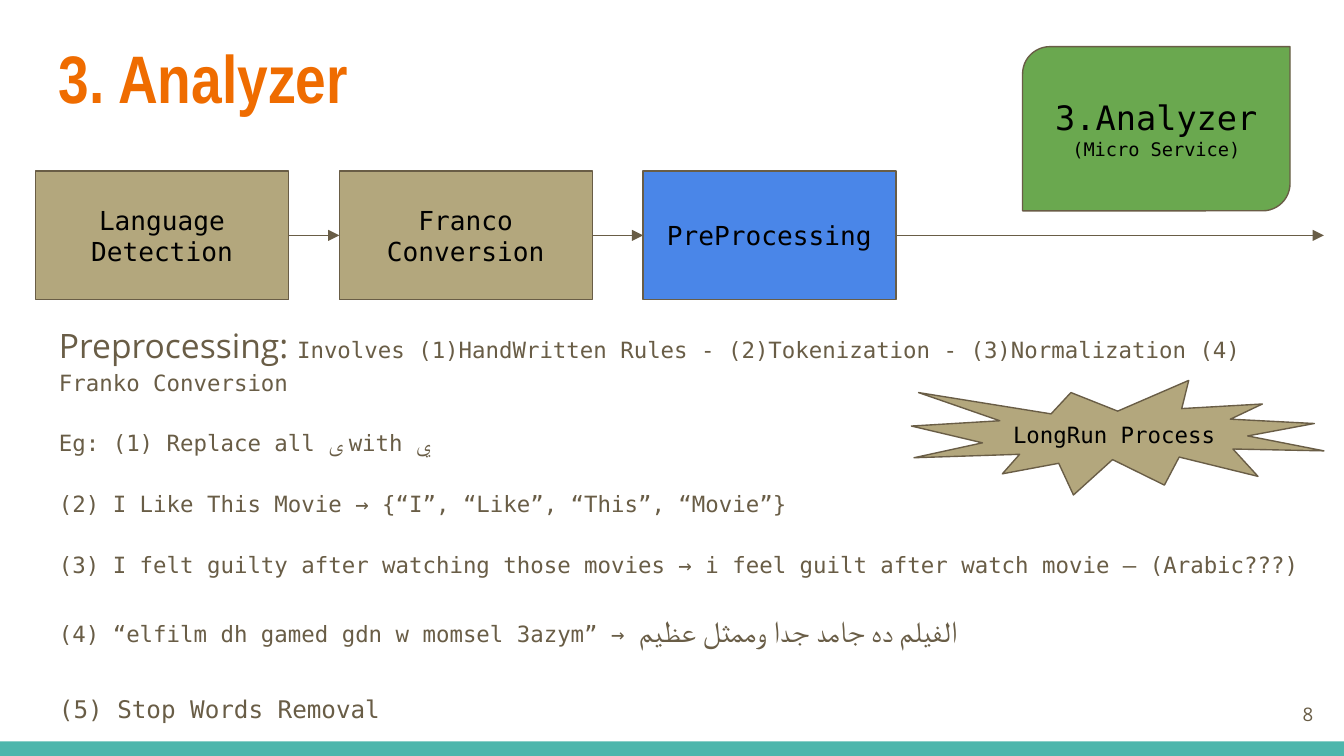
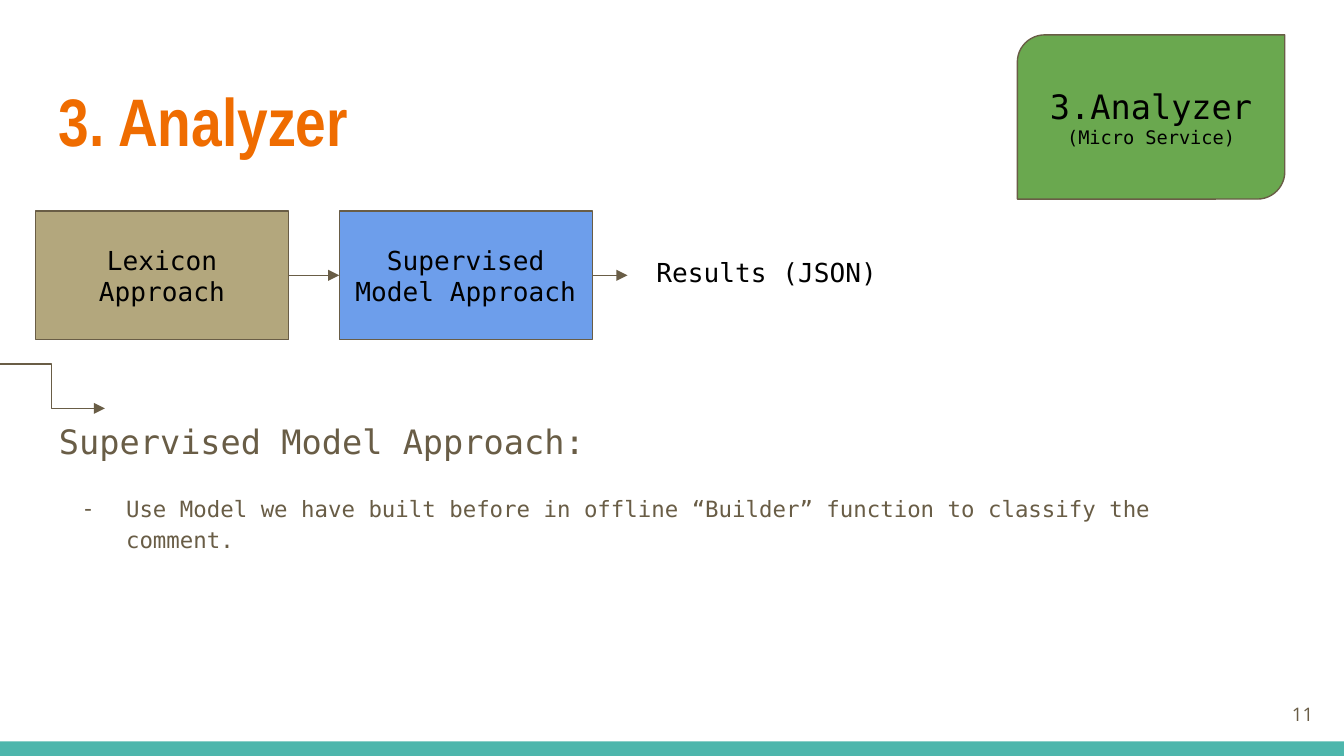
from lxml import etree
from pptx import Presentation
from pptx.dml.color import RGBColor
from pptx.enum import shapes, text
from pptx.oxml.ns import qn
from pptx.util import Pt

# Colours and fonts
ORANGE = RGBColor(0xEF, 0x6C, 0x00)
BROWN = RGBColor(0x69, 0x5D, 0x46)
SAND = RGBColor(0xB3, 0xA7, 0x7D)
GREEN = RGBColor(0x6A, 0xA8, 0x4F)
BLUE = RGBColor(0x4A, 0x86, 0xE8)
LIGHT_BLUE = RGBColor(0x6D, 0x9E, 0xEB)
TEAL = RGBColor(0x4D, 0xB6, 0xAC)
BLACK = RGBColor(0, 0, 0)
MONO, SANS, LATO, NARROW = "DejaVu Sans Mono", "Open Sans", "Lato", "Arial Narrow"

# Content: a paragraph is (space before, bullet, runs), a run is (text, size, font)
TITLE = "3. Analyzer"
SERVICE = [(0, None, [("3.Analyzer", 18, MONO)]),
           (0, None, [("(Micro Service)", 10, MONO)])]
PREPROCESSING = [
    (0, None, [("Preprocessing: ", 18, SANS),
               ("Involves (1)HandWritten Rules - (2)Tokenization - "
                "(3)Normalization (4) Franko Conversion", 12, MONO)]),
    (16, None, [("Eg: (1) Replace all ", 12, MONO), ("ى ", 12, LATO),
                ("with ي", 12, MONO)]),
    (16, None, [("(2) I Like This Movie → {“I”, “Like”, “This”, “Movie”}", 12, MONO)]),
    (16, None, [("(3) I felt guilty after watching those movies → "
                 "i feel guilt after watch movie – (Arabic???)", 12, MONO)]),
    (16, None, [("(4) “elfilm dh gamed gdn w momsel 3azym” → ", 12, MONO),
                ("الفيلم ده جامد جدا وممثل عظيم", 16, LATO)]),
    (22, None, [("(5) Stop Words Removal", 13, MONO)]),
]
SUPERVISED = [
    (0, None, [("Supervised Model Approach:", 18, MONO)]),
    (16, "-", [("Use Model we have built before in offline “Builder” function "
                "to classify the comment.", 12, MONO)]),
]
SLIDES = [
    dict(number="8", title_top=12.2, service=(547.8, 25), steps_top=91.6,
         steps=[("Language Detection", SAND), ("Franco Conversion", SAND),
                ("PreProcessing", BLUE)],
         flow_end=709.2, body=PREPROCESSING, body_box=(24.5, 163.4, 684.7, 252.7),
         burst="LongRun Process"),
    dict(number="11", title_top=35.5, service=(545, 18.7), steps_top=113,
         steps=[("Lexicon Approach", SAND), ("Supervised Model Approach", LIGHT_BLUE)],
         flow_end=336.2, body=SUPERVISED, body_box=(24.5, 215.3, 648, 88.6),
         result="Results (JSON)", entry=(-0.7, 195, 56.2, 218.8)),
]

# Layout, in points
WIDTH, HEIGHT = 720, 405
BAND_HEIGHT = 7.8
STEP_LEFT, STEP_PITCH, STEP_WIDTH, STEP_HEIGHT = 19.1, 162.7, 135.5, 69
INSET = 7.2


def write(shape, content, size=12, font=MONO, color=BLACK, bold=False,
          align=text.PP_ALIGN.LEFT, anchor=text.MSO_ANCHOR.TOP, spacing=1.0):
    """Fill a shape with one string or with a list of paragraphs."""
    if isinstance(content, str):
        content = [(0, None, [(content, size, font)])]
    frame = shape.text_frame
    frame.word_wrap = True
    frame.vertical_anchor = anchor
    frame.margin_left = frame.margin_right = Pt(INSET)
    frame.margin_top = frame.margin_bottom = Pt(INSET)
    for i, (before, bullet, runs) in enumerate(content):
        paragraph = frame.add_paragraph() if i else frame.paragraphs[0]
        paragraph.alignment = align
        paragraph.line_spacing = spacing
        paragraph.space_before = Pt(before)
        if bullet:
            add_bullet(paragraph, bullet, color)
        for words, run_size, run_font in runs:
            run = paragraph.add_run()
            run.text = words
            run.font.size = Pt(run_size)
            run.font.name = run_font
            run.font.bold = bold
            run.font.color.rgb = color


def add_bullet(paragraph, bullet, color):
    properties = paragraph._p.get_or_add_pPr()
    properties.set("marL", str(Pt(36)))
    properties.set("indent", str(-Pt(24)))
    bullet_color = etree.SubElement(properties, qn("a:buClr"))
    etree.SubElement(bullet_color, qn("a:srgbClr")).set("val", str(color))
    etree.SubElement(properties, qn("a:buFont")).set("typeface", MONO)
    etree.SubElement(properties, qn("a:buChar")).set("char", bullet)


def add_text(slide, box, content, **style):
    write(slide.shapes.add_textbox(*map(Pt, box)), content, **style)


def add_block(slide, kind, box, fill, content=None, outline=BROWN, **style):
    block = slide.shapes.add_shape(kind, *map(Pt, box))
    block.shadow.inherit = False
    block.fill.solid()
    block.fill.fore_color.rgb = fill
    if outline is None:
        block.line.fill.background()
    else:
        block.line.color.rgb = outline
        block.line.width = Pt(0.75)
    if content:
        write(block, content, anchor=text.MSO_ANCHOR.MIDDLE, **style)


def add_arrow(slide, ends, kind=shapes.MSO_CONNECTOR.STRAIGHT):
    arrow = slide.shapes.add_connector(kind, *map(Pt, ends))
    arrow.line.color.rgb = BROWN
    arrow.line.width = Pt(0.75)
    etree.SubElement(arrow.line._get_or_add_ln(), qn("a:tailEnd")).set("type", "triangle")
    etree.SubElement(arrow._element.spPr, qn("a:effectLst"))


def add_steps(slide, steps, top, flow_end):
    """Draw the row of steps, each with an arrow to what comes next."""
    lefts = [STEP_LEFT + i * STEP_PITCH for i in range(len(steps))]
    middle = top + STEP_HEIGHT / 2
    for (step, fill), left, target in zip(steps, lefts, lefts[1:] + [flow_end]):
        add_block(slide, shapes.MSO_SHAPE.FLOWCHART_PROCESS,
                  (left, top, STEP_WIDTH, STEP_HEIGHT), fill, step,
                  size=14, align=text.PP_ALIGN.CENTER)
        add_arrow(slide, (left + STEP_WIDTH, middle, target, middle))


def build_slide(deck, page):
    slide = deck.slides.add_slide(deck.slide_layouts[6])

    # Shared frame: band, title, service badge, page number
    add_block(slide, shapes.MSO_SHAPE.RECTANGLE,
              (0, HEIGHT - BAND_HEIGHT, WIDTH, BAND_HEIGHT), TEAL, outline=None)
    add_text(slide, (24.5, page["title_top"], 671, 55.4), TITLE,
             size=36, font=NARROW, color=ORANGE, bold=True)
    add_text(slide, page["body_box"], page["body"], color=BROWN, spacing=1.15)
    add_block(slide, shapes.MSO_SHAPE.ROUND_2_DIAG_RECTANGLE,
              (*page["service"], 143.3, 88), GREEN, SERVICE,
              align=text.PP_ALIGN.CENTER)
    add_text(slide, (667.4, 367.2, 43.2, 31), page["number"], size=10, font=SANS,
             color=BROWN, align=text.PP_ALIGN.RIGHT, anchor=text.MSO_ANCHOR.MIDDLE)

    # Flow of steps
    add_steps(slide, page["steps"], page["steps_top"], page["flow_end"])

    # Parts found on one slide only
    if "burst" in page:
        add_block(slide, shapes.MSO_SHAPE.EXPLOSION1, (488.3, 203.8, 221, 61.4),
                  SAND, page["burst"])
    if "result" in page:
        add_text(slide, (344.6, 130.3, 160.6, 34.6), page["result"], size=14)
    if "entry" in page:
        add_arrow(slide, page["entry"], shapes.MSO_CONNECTOR.ELBOW)


def main():
    deck = Presentation()
    deck.slide_width, deck.slide_height = Pt(WIDTH), Pt(HEIGHT)
    for page in SLIDES:
        build_slide(deck, page)
    deck.save("out.pptx")


if __name__ == "__main__":
    main()
